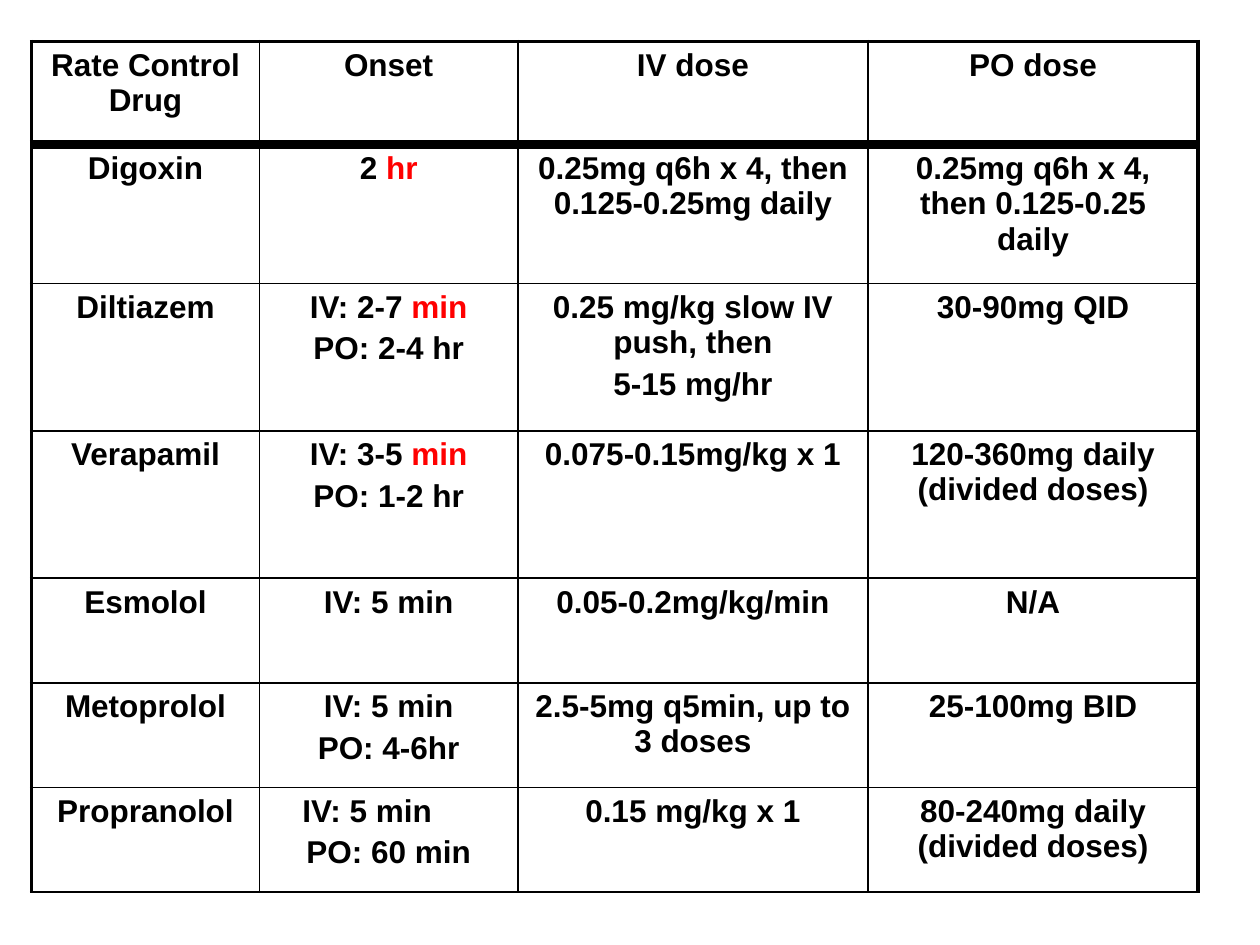
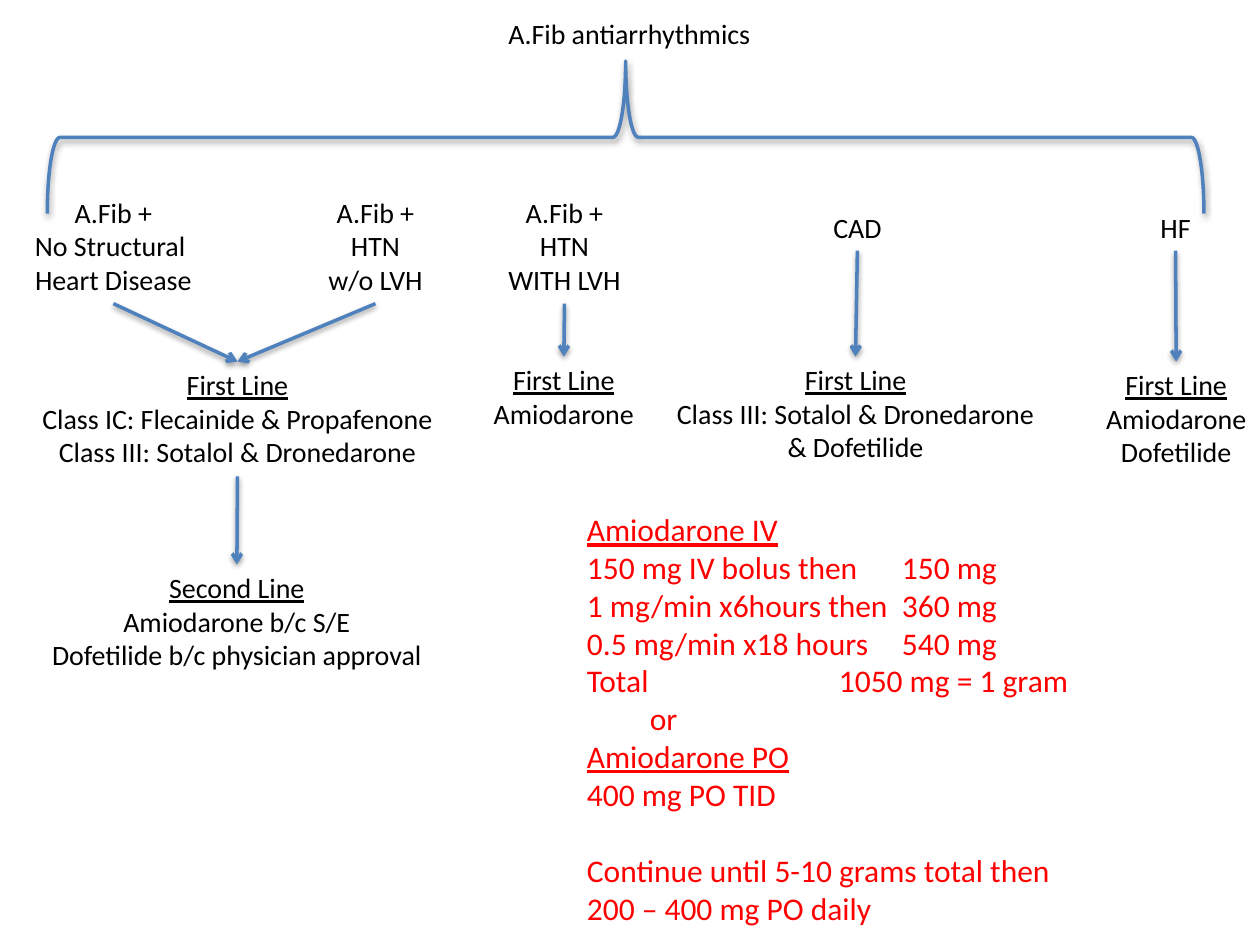
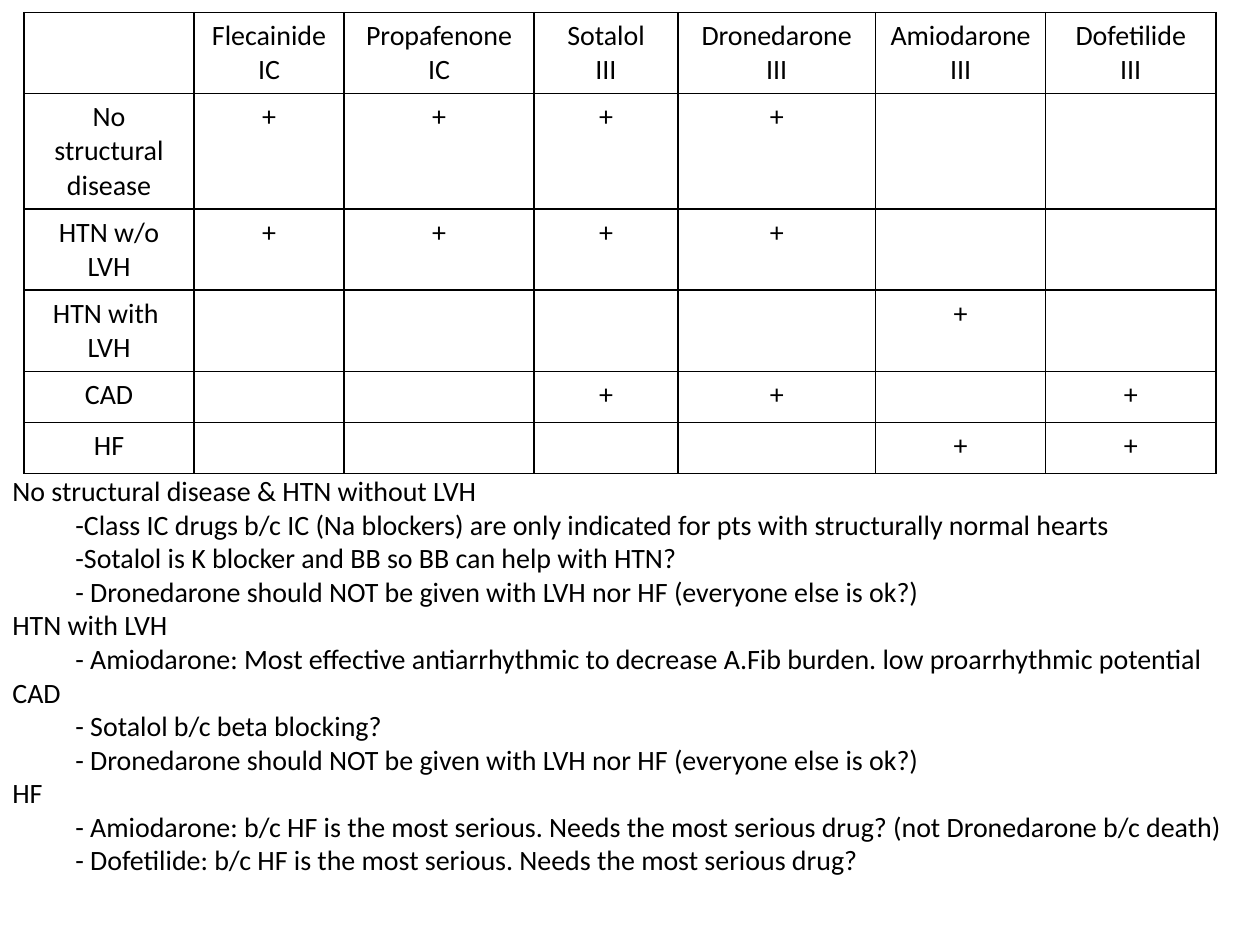
from lxml.etree import SubElement
from pptx import Presentation
from pptx.dml.color import RGBColor
from pptx.enum.shapes import MSO_CONNECTOR as CONNECTOR, MSO_SHAPE as SHAPE
from pptx.enum.text import PP_ALIGN as ALIGN
from pptx.oxml import parse_xml
from pptx.oxml.ns import nsdecls, qn
from pptx.util import Inches, Pt

# Shared look
BLACK, RED, BLUE = "000000", "FF0000", "4F81BD"
UNDERLINED = {"First Line", "Second Line", "Amiodarone IV", "Amiodarone PO"}
SHADOW = (
    f'<a:effectLst {nsdecls("a")}>'
    '<a:outerShdw blurRad="40000" dist="20000" dir="5400000" rotWithShape="0">'
    '<a:srgbClr val="000000"><a:alpha val="38000"/></a:srgbClr>'
    '</a:outerShdw></a:effectLst>'
)
color = RGBColor.from_string


def write_lines(frame, lines, size=16, font="Calibri", ink=BLACK, bold=False,
                align=ALIGN.CENTER, gap=0):
    """One paragraph per line; the part after a bar is red."""
    for index, line in enumerate(lines):
        paragraph = frame.add_paragraph() if index else frame.paragraphs[0]
        paragraph.alignment = align
        if index and gap:
            paragraph.space_before = Pt(gap)
        for part, words in enumerate(line.split("|")):
            run = paragraph.add_run()
            run.text = words
            run.font.name, run.font.size, run.font.bold = font, Pt(size), bold
            run.font.underline = line in UNDERLINED
            run.font.color.rgb = color(RED if part else ink)


def format_cell(cell, left=1, right=1, top=1, bottom=1):
    """Black borders with widths in points, no fill."""
    properties = cell._tc.get_or_add_tcPr()
    for side, width in zip("LRTB", (left, right, top, bottom)):
        border = SubElement(properties, qn(f"a:ln{side}"), w=str(Pt(width)))
        fill = SubElement(border, qn("a:solidFill"))
        SubElement(fill, qn("a:srgbClr"), val=BLACK)
    cell.fill.background()


presentation = Presentation()
presentation.slide_width, presentation.slide_height = Inches(10), Inches(7.5)
dose_slide, choice_slide, summary_slide = [
    presentation.slides.add_slide(presentation.slide_layouts[6]) for _ in range(3)
]

# Slide 1: rate control doses
DOSES = [
    [["Rate Control Drug"], ["Onset"], ["IV dose"], ["PO dose"]],
    [["Digoxin"], ["2 |hr"], ["0.25mg q6h x 4, then 0.125-0.25mg daily"],
     ["0.25mg q6h x 4, then 0.125-0.25 daily"]],
    [["Diltiazem"], ["IV: 2-7 |min", "PO: 2-4 hr"],
     ["0.25 mg/kg slow IV push, then", "5-15 mg/hr"], ["30-90mg QID"]],
    [["Verapamil"], ["IV: 3-5 |min", "PO: 1-2 hr"], ["0.075-0.15mg/kg x 1"],
     ["120-360mg daily (divided doses)"]],
    [["Esmolol"], ["IV: 5 min"], ["0.05-0.2mg/kg/min"], ["N/A"]],
    [["Metoprolol"], ["IV: 5 min", "PO: 4-6hr"],
     ["2.5-5mg q5min, up to 3 doses"], ["25-100mg BID"]],
    [["Propranolol"], ["IV: 5 min", "PO: 60 min"], ["0.15 mg/kg x 1"],
     ["80-240mg daily (divided doses)"]],
]
dose_table = dose_slide.shapes.add_table(
    7, 4, Inches(0.25), Inches(0.33), Inches(9.27), Inches(6.75)).table
dose_table.first_row = dose_table.horz_banding = False
for column, width in zip(dose_table.columns, (1.81, 2.05, 2.78, 2.62)):
    column.width = Inches(width)
for row, height in zip(dose_table.rows, (0.82, 1.1, 1.17, 1.17, 0.83, 0.83, 0.83)):
    row.height = Inches(height)
for r, drug in enumerate(DOSES):
    for c, lines in enumerate(drug):
        cell = dose_table.cell(r, c)
        write_lines(cell.text_frame, lines, 18, "Arial", bold=True, gap=3.6)
        format_cell(cell,
                    left=2.25 if c == 0 else 1,
                    right=2.25 if c == 3 else 1,
                    top={0: 2.25, 1: 6}.get(r, 1),
                    bottom=6 if r == 0 else 1)
# The last IV onset sits left of the centre
propranolol_onset = dose_table.cell(6, 1).text_frame.paragraphs[0]
propranolol_onset.alignment = ALIGN.LEFT
propranolol_onset._p.get_or_add_pPr().set("marL", str(Inches(0.24)))

# Slide 2: choice of antiarrhythmic
NODES = {
    "title": (3.92, 0.08, 2.15, 0.37, ["A.Fib antiarrhythmics"]),
    "no disease": (0.17, 1.5, 1.46, 0.91,
                   ["A.Fib +", "No Structural ", "Heart Disease"]),
    "without LVH": (2.49, 1.5, 0.98, 0.91, ["A.Fib +", "HTN", "w/o LVH"]),
    "with LVH": (3.92, 1.5, 1.12, 0.91, ["A.Fib +", "HTN", "WITH LVH"]),
    "CAD": (6.51, 1.62, 0.59, 0.37, ["CAD"]),
    "HF": (9.11, 1.62, 0.44, 0.37, ["HF"]),
    "first": (0.1, 2.87, 3.57, 0.91,
              ["First Line", "Class IC: Flecainide & Propafenone",
               "Class III: Sotalol & Dronedarone"]),
    "second": (0.28, 4.48, 3.2, 0.91,
               ["Second Line", "Amiodarone b/c S/E",
                "Dofetilide b/c physician approval"]),
    "LVH first": (3.81, 2.83, 1.33, 0.64, ["First Line", "Amiodarone"]),
    "CAD first": (5.25, 2.83, 3.08, 0.91,
                  ["First Line", "Class III: Sotalol & Dronedarone", "& Dofetilide"]),
    "HF first": (8.67, 2.87, 1.33, 0.91, ["First Line", "Amiodarone", "Dofetilide"]),
}
ARROWS = [("no disease", "first"), ("without LVH", "first"), ("first", "second"),
          ("with LVH", "LVH first"), ("CAD", "CAD first"), ("HF", "HF first")]
boxes = {}
for name, (left, top, width, height, lines) in NODES.items():
    boxes[name] = choice_slide.shapes.add_textbox(
        Inches(left), Inches(top), Inches(width), Inches(height))
    boxes[name].text_frame.word_wrap = False
    write_lines(boxes[name].text_frame, lines)

# Brace and arrows
brace = choice_slide.shapes.add_shape(
    SHAPE.LEFT_BRACE, Inches(4.36), Inches(-3.5), Inches(1.21), Inches(9.18))
brace.rotation = 90
brace.fill.background()
blue_lines = [brace]
for start, end in ARROWS:
    arrow = choice_slide.shapes.add_connector(CONNECTOR.STRAIGHT, 0, 0, 0, 0)
    arrow.begin_connect(boxes[start], 2)
    arrow.end_connect(boxes[end], 0)
    blue_lines.append(arrow)
for shape in blue_lines:
    shape.line.color.rgb = color(BLUE)
    shape.line.width = Pt(2)
    if shape is not brace:
        SubElement(shape.line._get_or_add_ln(), qn("a:tailEnd"), type="arrow")
    shape._element.spPr.append(parse_xml(SHADOW))

# Amiodarone loading
LOADING = [
    "Amiodarone IV", "150 mg IV bolus then\t150 mg", "1 mg/min x6hours then\t360 mg",
    "0.5 mg/min x18 hours\t540 mg", "Total\t1050 mg = 1 gram", "or",
    "Amiodarone PO", "400 mg PO TID",
    "Continue until 5-10 grams total then", "200 – 400 mg PO daily",
]
loading_box = choice_slide.shapes.add_textbox(
    Inches(4.56), Inches(4), Inches(5), Inches(3.43))
loading_box.text_frame.word_wrap = True
write_lines(loading_box.text_frame, LOADING, 18, ink=RED, align=ALIGN.LEFT)
for line, paragraph in zip(LOADING, loading_box.text_frame.paragraphs):
    properties = paragraph._p.get_or_add_pPr()
    if "\t" in line:
        stop = Inches(2 if line.startswith("Total") else 2.5)
        tabs = SubElement(properties, qn("a:tabLst"))
        SubElement(tabs, qn("a:tab"), pos=str(stop), algn="l")
    elif line == "or":
        properties.set("marL", str(Inches(0.5)))
    elif line.startswith("Continue"):
        paragraph.space_before = Pt(22)

# Slide 3: drugs by condition
DRUGS = [("Flecainide", "IC"), ("Propafenone", "IC"), ("Sotalol", "III"),
         ("Dronedarone", "III"), ("Amiodarone", "III"), ("Dofetilide", "III")]
CONDITIONS = [
    (["No structural disease"], "++++--"),
    (["HTN w/o", "LVH"], "++++--"),
    (["HTN with ", "LVH"], "----+-"),
    (["CAD"], "--++-+"),
    (["HF"], "----++"),
]
summary_rows = [[[], *DRUGS]] + [
    [label, *([mark] if mark == "+" else [] for mark in marks)]
    for label, marks in CONDITIONS
]
summary_table = summary_slide.shapes.add_table(
    6, 7, Inches(0.19), Inches(0.1), Inches(9.47), Inches(3.63)).table
summary_table.first_row = summary_table.horz_banding = False
for column, width in zip(summary_table.columns,
                         (1.35, 1.19, 1.51, 1.14, 1.57, 1.35, 1.35)):
    column.width = Inches(width)
for row, height in zip(summary_table.rows, (0.64, 0.91, 0.64, 0.64, 0.4, 0.4)):
    row.height = Inches(height)
for r, entries in enumerate(summary_rows):
    for c, lines in enumerate(entries):
        cell = summary_table.cell(r, c)
        write_lines(cell.text_frame, lines)
        format_cell(cell)

# Reasons, with details indented under each condition
REASONS = [
    "No structural disease & HTN without LVH",
    "-Class IC drugs b/c IC (Na blockers) are only indicated for pts with structurally normal hearts",
    "-Sotalol is K blocker and BB so BB can help with HTN?",
    "- Dronedarone should NOT be given with LVH nor HF (everyone else is ok?)",
    "HTN with LVH",
    "- Amiodarone: Most effective antiarrhythmic to decrease A.Fib burden. low proarrhythmic potential",
    "CAD",
    "- Sotalol b/c beta blocking?",
    "- Dronedarone should NOT be given with LVH nor HF (everyone else is ok?)",
    "HF",
    "- Amiodarone: b/c HF is the most serious. Needs the most serious drug? (not Dronedarone b/c death)",
    "- Dofetilide: b/c HF is the most serious. Needs the most serious drug?",
]
reasons_box = summary_slide.shapes.add_textbox(
    Inches(0), Inches(3.71), Inches(9.81), Inches(3.33))
reasons_box.text_frame.word_wrap = True
write_lines(reasons_box.text_frame, REASONS, align=ALIGN.LEFT)
for line, paragraph in zip(REASONS, reasons_box.text_frame.paragraphs):
    if line.startswith("-"):
        paragraph._p.get_or_add_pPr().set("marL", str(Inches(0.5)))

presentation.save("out.pptx")
